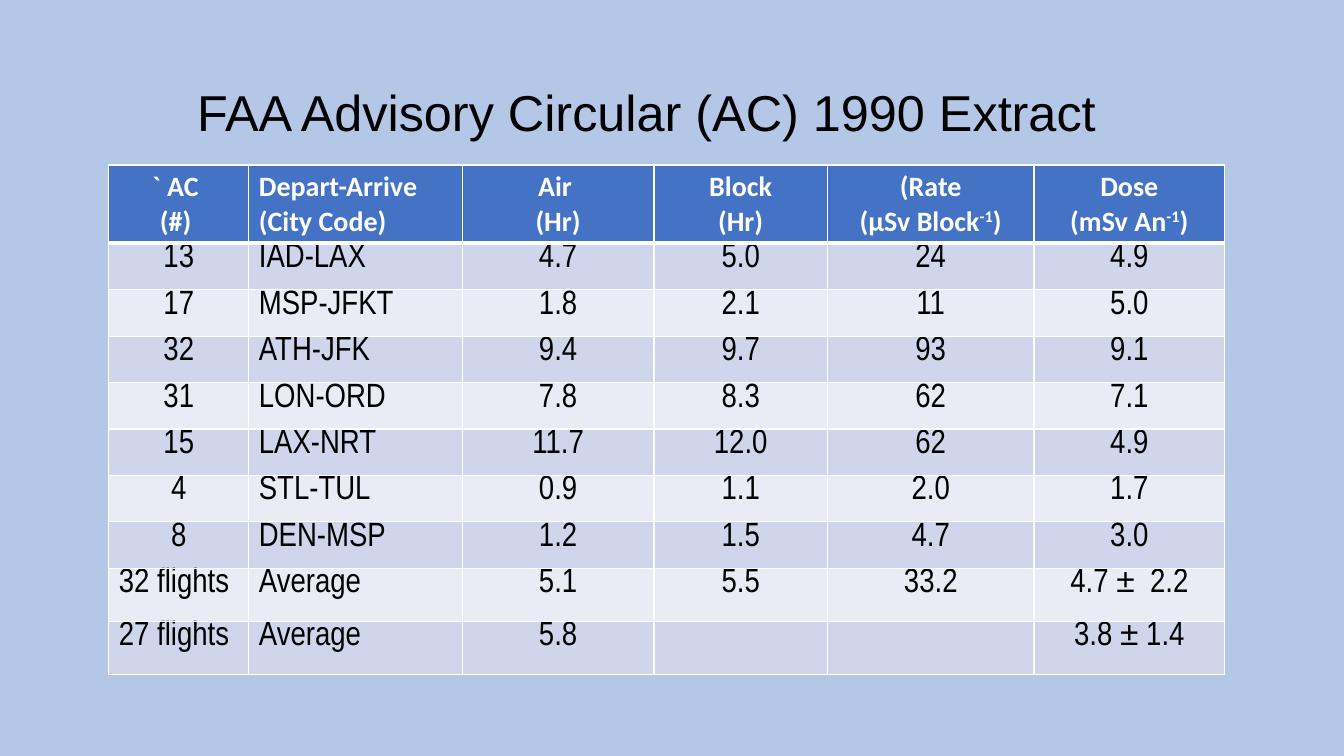
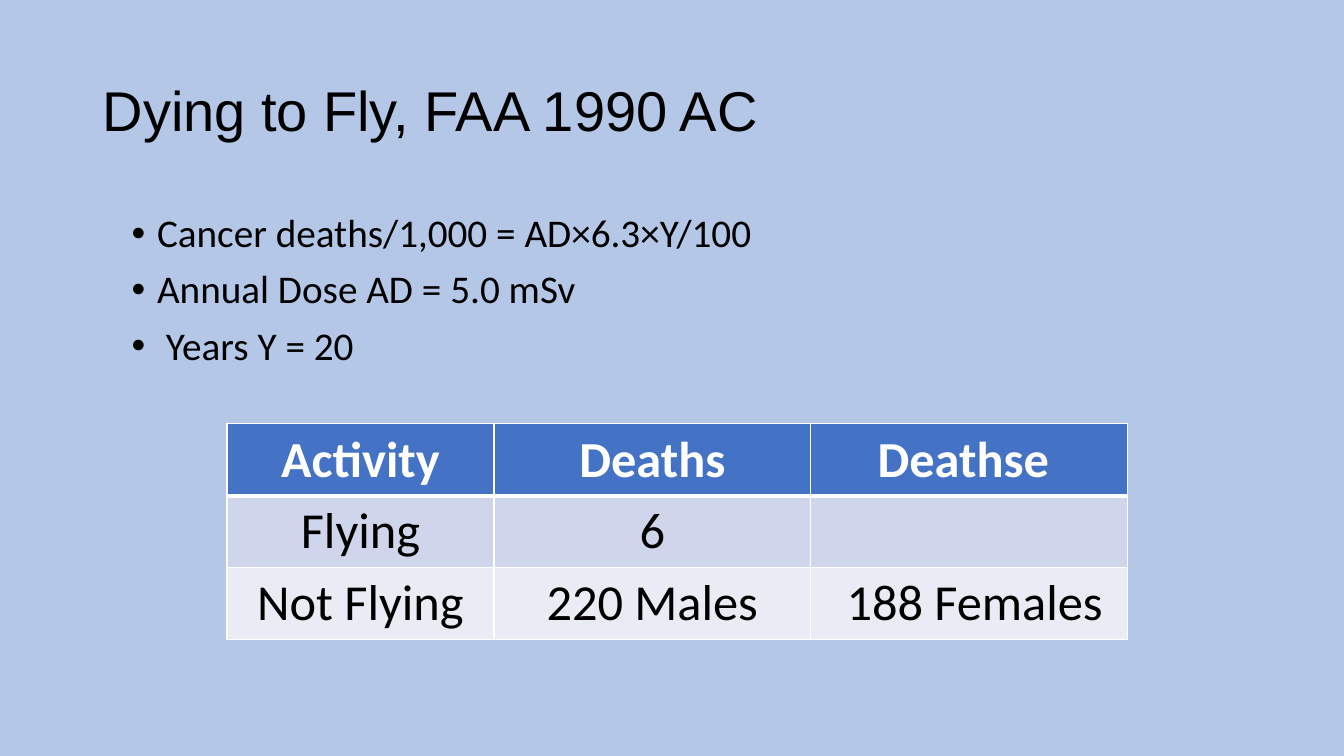
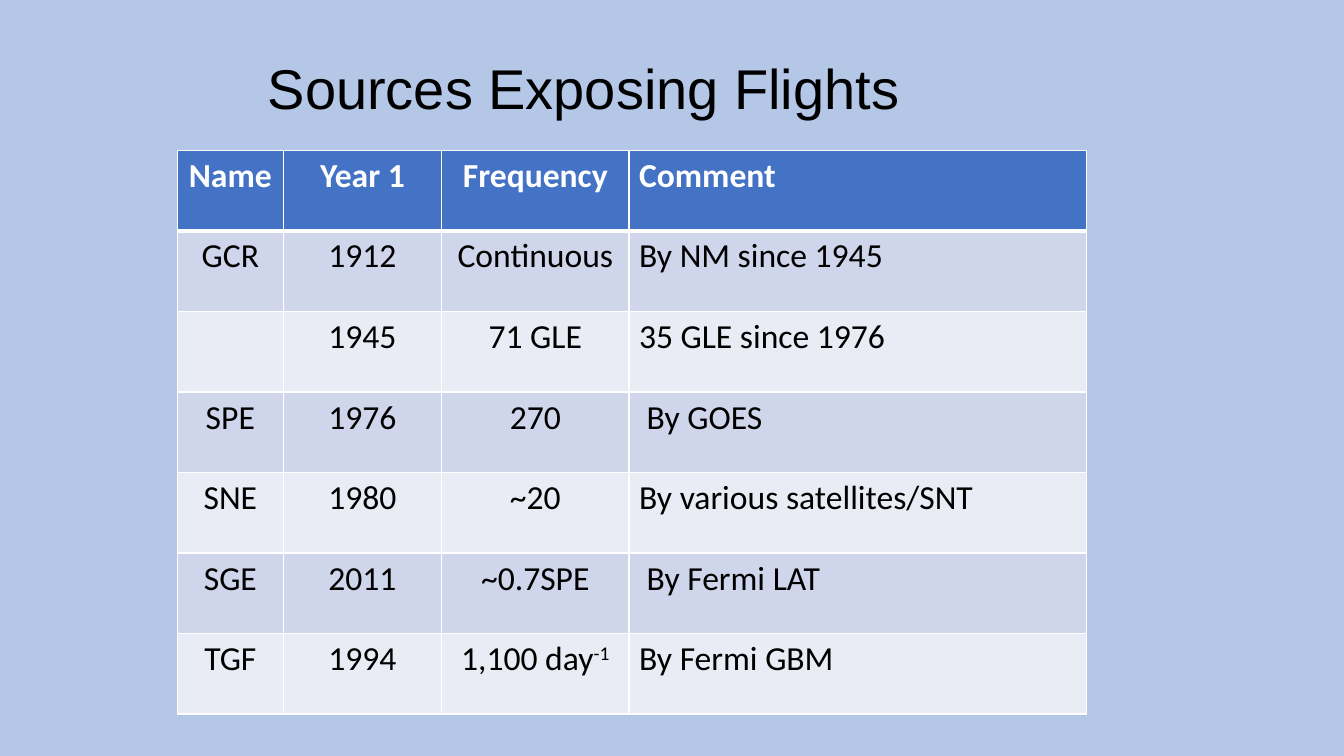
from lxml.etree import SubElement
from pptx import Presentation
from pptx.dml.color import RGBColor
from pptx.enum.text import MSO_ANCHOR, PP_ALIGN
from pptx.oxml.ns import qn
from pptx.util import Cm, Pt

# Shared look
BACKGROUND, HEADER = "B4C7E7", "4472C4"
BANDS = ("CFD5EA", "E9EBF5")
BLACK, WHITE = "000000", "FFFFFF"
TITLE_FONT, BODY_FONT = "Arial", "Calibri"

# Content: lengths in cm, ^...^ marks superscript, | breaks a paragraph
SLIDES = [
    {
        "title": "FAA Advisory Circular (AC) 1990 Extract",
        "title_box": (4.72, 1.73, 23.39, 2.36), "title_size": 36,
        "table": {
            "at": (2.74, 4.16),
            "cols": (3.53, 5.38, 4.83, 4.37, 5.21, 4.8),
            "heights": [1.97] + [1.17] * 7 + [1.34] * 2,
            "sizes": (20, 24), "font": "Arial Narrow", "body_margin": 0,
            "left_col": 1, "left_cells": {(8, 0), (9, 0)},
            "rows": [
                ("` AC |(#) ", "Depart-Arrive|(City Code)", "Air |(Hr)",
                 "Block|(Hr)", "(Rate|(µSv Block^-1^)",
                 "Dose|(mSv An^-1^)"),
                ("13", "IAD-LAX", "4.7", "5.0", "24", "4.9"),
                ("17", "MSP-JFKT", "1.8", "2.1", "11", "5.0"),
                ("32", "ATH-JFK", "9.4", "9.7", "93", "9.1"),
                ("31", "LON-ORD", "7.8", "8.3", "62", "7.1"),
                ("15", "LAX-NRT", "11.7", "12.0", "62", "4.9"),
                ("4", "STL-TUL", "0.9", "1.1", "2.0", "1.7"),
                ("8", "DEN-MSP", "1.2", "1.5", "4.7", "3.0"),
                ("32 flights", "Average", "5.1", "5.5", "33.2", "4.7 ±  2.2"),
                ("27 flights", "Average", "5.8", "", "", "3.8 ± 1.4"),
            ],
        },
    },
    {
        "title": "Dying to Fly, FAA 1990 AC",
        "title_box": (2.34, 1.02, 29.21, 3.68), "title_size": 40,
        "bullets": ["Cancer deaths/1,000 = AD×6.3×Y/100",
                    "Annual Dose AD = 5.0 mSv", " Years Y = 20"],
        "bullet_box": (3.07, 5.26, 28.32, 5.0),
        "table": {
            "at": (5.72, 10.68),
            "cols": (6.73, 7.98, 7.98), "heights": [1.81] * 3,
            "sizes": (36, 36),
            "rows": [
                ("Activity", "Deaths", "Deathse "),
                ("Flying", "6", ""),
                ("Not Flying", "220 Males", " 188 Females"),
            ],
        },
    },
    {
        "title": "Sources Exposing Flights",
        "title_box": (6.5, 1.19, 19.33, 2.21), "title_size": 40,
        "table": {
            "at": (4.47, 3.79),
            "cols": (2.67, 3.99, 4.72, 11.53), "heights": [2.03] * 7,
            "sizes": (24, 24), "left_col": 3,
            "rows": [
                ("Name", "Year 1", "Frequency", "Comment"),
                ("GCR", "1912", "Continuous", "By NM since 1945"),
                ("", "1945", "71 GLE", "35 GLE since 1976"),
                ("SPE", "1976", "270", " By GOES"),
                ("SNE", "1980", "~20", "By various satellites/SNT"),
                ("SGE", "2011", "~0.7SPE", " By Fermi LAT"),
                ("TGF", "1994", "1,100 day^-1^", "By Fermi GBM"),
            ],
        },
    },
]


def rgb(color):
    return RGBColor.from_string(color)


def style(font, name, size, color, bold=False):
    font.name, font.size, font.bold = name, Pt(size), bold
    font.color.rgb = rgb(color)


def add_text(s, box, lines, name, size, anchor, bullet=False):
    tf = s.shapes.add_textbox(*map(Cm, box)).text_frame
    tf.word_wrap, tf.vertical_anchor = True, anchor
    for i, line in enumerate(lines):
        p = tf.add_paragraph() if i else tf.paragraphs[0]
        p.text = line
        p.line_spacing = 0.9
        if i:
            p.space_before = Pt(10)
        if bullet:
            pPr = p._p.get_or_add_pPr()
            pPr.set("marL", str(Cm(0.64)))
            pPr.set("indent", str(-Cm(0.64)))
            SubElement(pPr, qn("a:buFont"), typeface="Arial")
            SubElement(pPr, qn("a:buChar"), char="•")
        style(p.runs[0].font, name, size, BLACK)


def set_borders(cell, top, bottom):
    tcPr = cell._tc.get_or_add_tcPr()
    for side, width in (("L", 1), ("R", 1), ("T", top), ("B", bottom)):
        ln = SubElement(tcPr, qn("a:ln" + side), w=str(Pt(width)))
        fill = SubElement(ln, qn("a:solidFill"))
        SubElement(fill, qn("a:srgbClr"), val=WHITE)


def fill_cell(cell, text, align, name, size, color, bold):
    tf = cell.text_frame
    for i, line in enumerate(text.split("|")):
        p = tf.add_paragraph() if i else tf.paragraphs[0]
        p.alignment = align
        for j, part in enumerate(line.split("^")):
            if part:
                r = p.add_run()
                r.text = part
                style(r.font, name, size, color, bold)
                if j % 2:
                    r._r.get_or_add_rPr().set("baseline", "30000")


def add_grid(s, at, cols, heights, sizes, rows, font=BODY_FONT,
             body_margin=0.13, left_col=None, left_cells=()):
    table = s.shapes.add_table(len(rows), len(cols), *map(
        Cm, (*at, sum(cols), sum(heights)))).table
    for column, width in zip(table.columns, cols):
        column.width = Cm(width)
    for i, (row, height) in enumerate(zip(rows, heights)):
        table.rows[i].height = Cm(height)
        head = i == 0
        for j, text in enumerate(row):
            cell = table.cell(i, j)
            set_borders(cell, 3 if i == 1 else 1, 3 if head else 1)
            cell.fill.solid()
            cell.fill.fore_color.rgb = rgb(HEADER if head else BANDS[(i - 1) % 2])
            cell.margin_top = cell.margin_bottom = Cm(0.13 if head else body_margin)
            left = j == left_col or (i, j) in left_cells
            fill_cell(cell, text, PP_ALIGN.LEFT if left else PP_ALIGN.CENTER,
                      BODY_FONT if head else font, sizes[0 if head else 1],
                      WHITE if head else BLACK, head)


def main():
    prs = Presentation()
    prs.slide_width, prs.slide_height = Cm(33.87), Cm(19.05)
    for content in SLIDES:
        s = prs.slides.add_slide(prs.slide_layouts[6])
        s.background.fill.solid()
        s.background.fill.fore_color.rgb = rgb(BACKGROUND)
        add_text(s, content["title_box"], [content["title"]], TITLE_FONT,
                 content["title_size"], MSO_ANCHOR.MIDDLE)
        if "bullets" in content:
            add_text(s, content["bullet_box"], content["bullets"], BODY_FONT,
                     28, MSO_ANCHOR.TOP, bullet=True)
        add_grid(s, **content["table"])
    prs.save("out.pptx")


if __name__ == "__main__":
    main()
